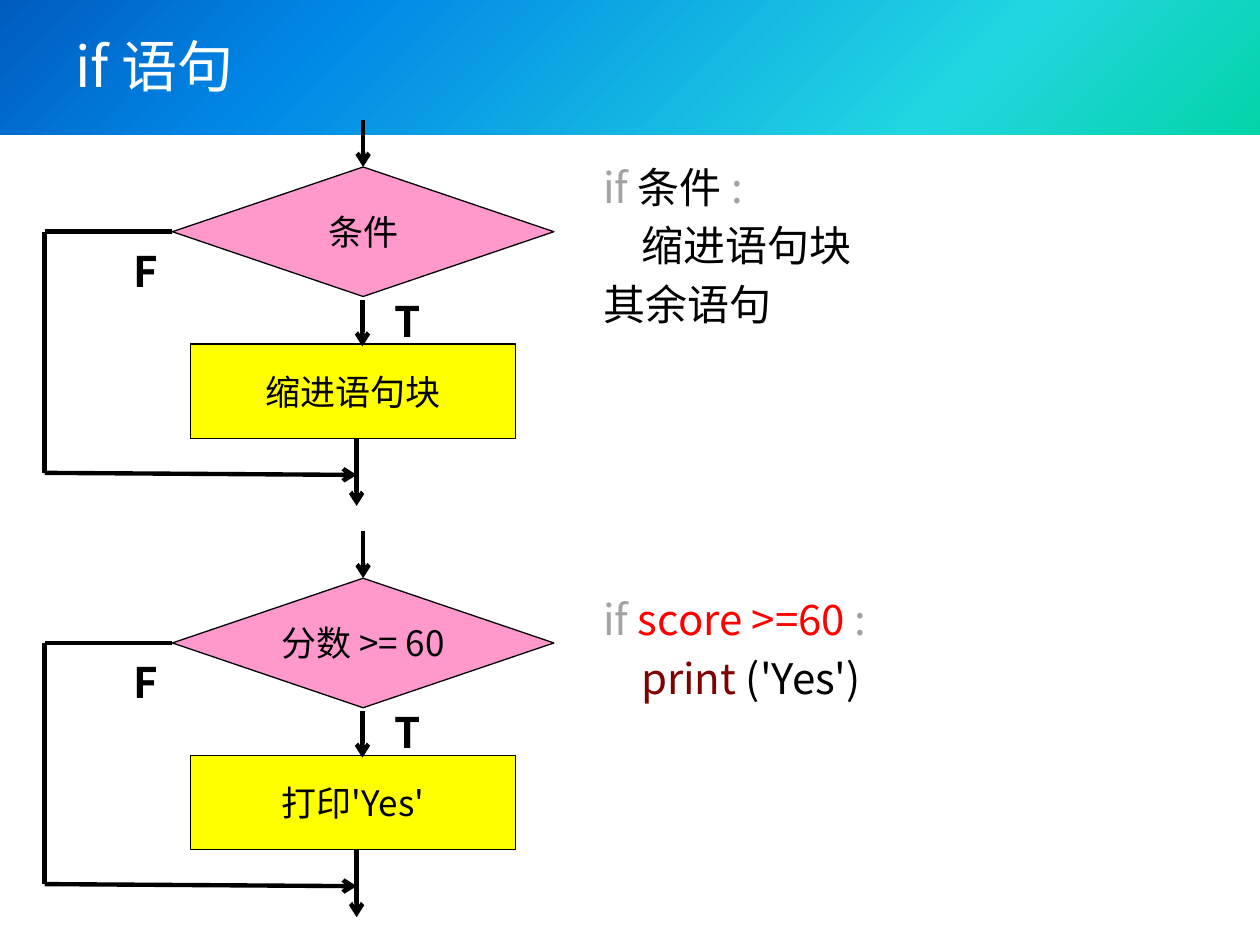
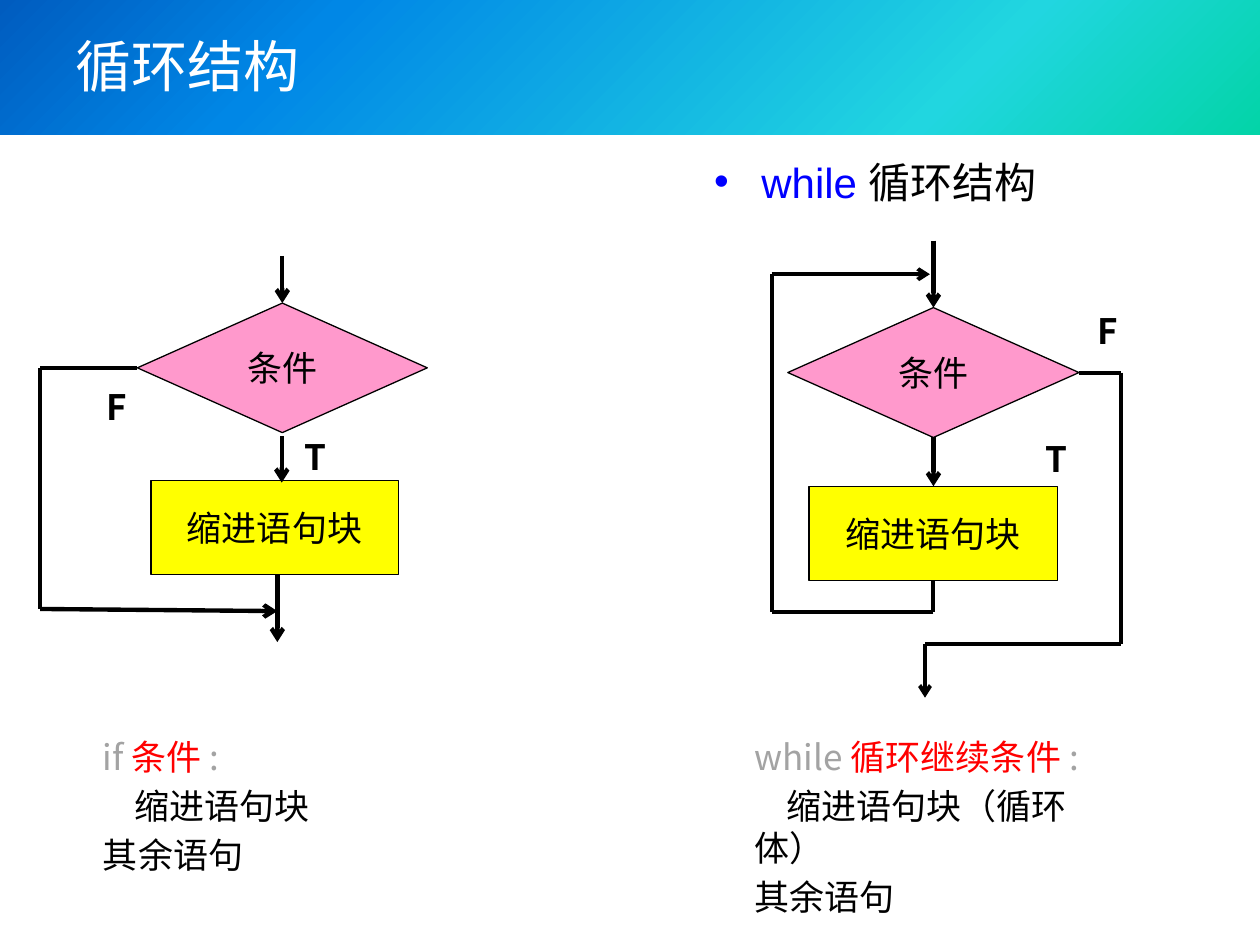
from itertools import pairwise

from pptx import Presentation
from pptx.dml.color import RGBColor
from pptx.enum.shapes import MSO_CONNECTOR, MSO_SHAPE
from pptx.enum.text import MSO_ANCHOR, PP_ALIGN
from pptx.oxml import parse_xml
from pptx.oxml.ns import nsdecls, qn
from pptx.util import Pt

LINE = MSO_CONNECTOR.STRAIGHT
RECT = MSO_SHAPE.RECTANGLE
CHOICE = MSO_SHAPE.FLOWCHART_DECISION
MIDDLE = MSO_ANCHOR.MIDDLE
CENTER = PP_ALIGN.CENTER
TOP, LEFT, BOTTOM, RIGHT = range(4)

FONT = "Noto Sans CJK SC"
COLORS = {
    "black": "000000", "white": "FFFFFF", "gray": "A3A3A3", "red": "FF0000",
    "maroon": "800000", "blue": "0000FF", "pink": "FF99CC", "yellow": "FFFF00",
}
BAND = {0: "03D4A8", 25: "21D6E0", 75: "0087E6", 100: "005CBF"}


def rgb(name):
    """Return the named colour."""
    return RGBColor.from_string(COLORS[name])


def apply(item, values):
    """Set attributes of an item from a dict."""
    for key, value in values.items():
        setattr(item, key, value)


def write(para, text, size, color="black", font=FONT, bold=False):
    """Add a run with Latin and East Asian fonts."""
    run = para.add_run()
    run.text = text
    apply(run.font, {"size": Pt(size), "bold": bold, "name": font})
    run.font.color.rgb = rgb(color)
    east = run.font._element.makeelement(qn("a:ea"), {"typeface": FONT})
    run.font._element.append(east)


def add_band(slide):
    """Draw the gradient band behind the title."""
    band = slide.shapes.add_shape(RECT, 0, 0, Pt(720), Pt(77))
    band.shadow.inherit = False
    band.line.fill.background()
    band.fill.background()
    stops = "".join(
        f'<a:gs pos="{pos * 1000}"><a:srgbClr val="{color}"/></a:gs>'
        for pos, color in BAND.items())
    grad = parse_xml(
        f'<a:gradFill {nsdecls("a")} rotWithShape="1"><a:gsLst>{stops}</a:gsLst>'
        '<a:path path="circle"><a:fillToRect l="100000" t="100000"/></a:path>'
        '</a:gradFill>')
    props = band.element.spPr
    props.replace(props.find(qn("a:noFill")), grad)


def add_frame(slide, x, y, w, h, **values):
    """Add a wrapping text box and return its frame."""
    frame = slide.shapes.add_textbox(Pt(x), Pt(y), Pt(w), Pt(h)).text_frame
    apply(frame, {"word_wrap": True, **values})
    return frame


def add_title(slide, text):
    """Write the slide title on the band."""
    frame = add_frame(slide, 36, 9.4, 648, 55.4, vertical_anchor=MIDDLE)
    write(frame.paragraphs[0], text, 32, "white")


def add_code(slide, x, y, w, h, size, rows, bullet=False):
    """Write coloured rows, each a pair of indent flag and runs."""
    frame = add_frame(slide, x, y, w, h, margin_top=Pt(5))
    for num, (inset, runs) in enumerate(rows):
        para = frame.add_paragraph() if num else frame.paragraphs[0]
        apply(para, {"line_spacing": Pt(size * 1.2),
                     "space_before": Pt(size * 0.2 if num else 0)})
        props = para._p.get_or_add_pPr()
        if inset:
            props.set("indent", str(Pt(size * 0.9)))
        if bullet:
            props.set("marL", str(Pt(27)))
            props.set("indent", str(Pt(-27)))
            for tag, attrs in (("a:buFont", {"typeface": "Arial"}),
                               ("a:buChar", {"char": "•"})):
                props.append(props.makeelement(qn(tag), attrs))
        for text, *style in runs:
            write(para, text, size, *style)


def add_node(slide, kind, x, y, w, h, color, text):
    """Draw a flow chart node with centred text."""
    node = slide.shapes.add_shape(kind, Pt(x), Pt(y), Pt(w), Pt(h))
    node.shadow.inherit = False
    node.fill.solid()
    node.fill.fore_color.rgb = rgb(color)
    node.line.color.rgb = rgb("black")
    node.line.width = Pt(0.75)
    apply(node.text_frame, {"word_wrap": False, "vertical_anchor": MIDDLE})
    para = node.text_frame.paragraphs[0]
    para.alignment = CENTER
    write(para, text, 20)
    return node


def add_label(slide, x, y, w, size, text):
    """Write a bold branch label."""
    frame = add_frame(
        slide, x, y, w, 39.6, vertical_anchor=MIDDLE, margin_left=Pt(1.5),
        margin_right=Pt(1.5), margin_top=Pt(5.8), margin_bottom=Pt(0.7))
    frame.paragraphs[0].alignment = CENTER
    write(frame.paragraphs[0], text, size, bold=True)


def add_route(slide, *points, start=None, end=None, width=2.5):
    """Draw a chain of lines with an arrowhead at its end."""
    lines = []
    for (x1, y1), (x2, y2) in pairwise(points):
        line = slide.shapes.add_connector(LINE, Pt(x1), Pt(y1), Pt(x2), Pt(y2))
        line.line.color.rgb = rgb("black")
        line.line.width = Pt(width)
        props = line.element.spPr
        props.append(props.makeelement(qn("a:effectLst"), {}))
        lines.append(line)
    if start:
        lines[0].begin_connect(*start)
    if end:
        lines[-1].end_connect(*end)
    edge = lines[-1].get_or_add_ln()
    edge.append(edge.makeelement(qn("a:tailEnd"), {"type": "arrow"}))


def add_branch(slide, left, top, cond, block, size=24, scale=1):
    """Draw the flow chart of an if statement."""
    def at(x, y):
        return left + x * scale, top + y

    choice = add_node(slide, CHOICE, *at(73, 27), 218 * scale, 74, "pink", cond)
    add_node(slide, RECT, *at(83.2, 128.2), 186 * scale, 54, "yellow", block)
    add_route(slide, at(182, 0), at(182, 27), end=(choice, TOP))
    add_route(slide, at(181.6, 103), at(181.6, 129.6))
    add_route(slide, at(178.3, 182.2), at(178.3, 220.7))
    add_route(slide, at(73, 64), at(0, 64), at(0, 201.8), at(178.3, 203),
              start=(choice, LEFT))
    add_label(slide, *at(31.3, 64), 52.6 * scale, size, "F")
    add_label(slide, *at(181, 92.3), 52.6 * scale, size, "T")


def add_loop(slide, cond, block):
    """Draw the flow chart of a while loop."""
    choice = add_node(slide, CHOICE, 450.2, 175.8, 166.4, 74.2, "pink", cond)
    body = add_node(slide, RECT, 462.3, 277.9, 142.2, 54, "yellow", block)
    add_route(slide, (533.4, 137.5), (533.4, 175.8), end=(choice, TOP))
    add_route(slide, (533.4, 250), (533.4, 277.9),
              start=(choice, BOTTOM), end=(body, TOP))
    add_route(slide, (533.4, 331.9), (533.4, 349.7), (441, 349.7),
              (441, 156.7), (531.4, 156.7), start=(body, BOTTOM), width=2.25)
    add_route(slide, (616.6, 212.9), (640.4, 212.9), (640.4, 368),
              (528.6, 368), (528.6, 398.7), start=(choice, RIGHT), width=2.25)
    add_label(slide, 613.4, 166.3, 39.6, 20, "F")
    add_label(slide, 583.9, 239.8, 39.6, 20, "T")


def add_page(deck, title):
    """Add a slide with band and title."""
    slide = deck.slides.add_slide(deck.slide_layouts[6])
    add_band(slide)
    add_title(slide, title)
    return slide


def main():
    """Build the two slides."""
    deck = Presentation()
    apply(deck, {"slide_width": Pt(720), "slide_height": Pt(540)})
    block, rest = (True, [("缩进语句块",)]), (False, [("其余语句",)])
    colon = (":", "gray")

    slide = add_page(deck, "if 语句")
    add_branch(slide, 25.5, 68.4, "条件", "缩进语句块")
    add_branch(slide, 25.5, 303.4, "分数 >= 60", "打印'Yes'")
    add_code(slide, 337.7, 87.1, 352.8, 137.5, 24, [
        (False, [("if ", "gray"), ("条件",), (" :", "gray")]), block, rest])
    add_code(slide, 337.7, 334.1, 352.8, 195.1, 24, [
        (False, [("if", "gray"), (" score >=60 ", "red"), colon]),
        (True, [("print", "maroon"), (" ('Yes')",)])])

    slide = add_page(deck, "循环结构")
    add_code(slide, 401, 84.2, 482.4, 390.2, 24, [
        (False, [("while ", "blue", "Arial"), ("循环结构",)])], bullet=True)
    add_branch(slide, 23, 146.2, "条件", "缩进语句块", 20, 0.76)
    add_loop(slide, "条件", "缩进语句块")
    add_code(slide, 424.1, 415.1, 218.2, 137.5, 20, [
        (False, [("while ", "gray"), ("循环继续条件 ", "red"), colon]),
        (True, [("缩进语句块（循环体）",)]), rest])
    add_code(slide, 51.8, 415.1, 218.2, 137.5, 20, [
        (False, [("if ", "gray"), ("条件 ", "red"), colon]), block, rest])
    deck.save("out.pptx")


if __name__ == "__main__":
    main()
